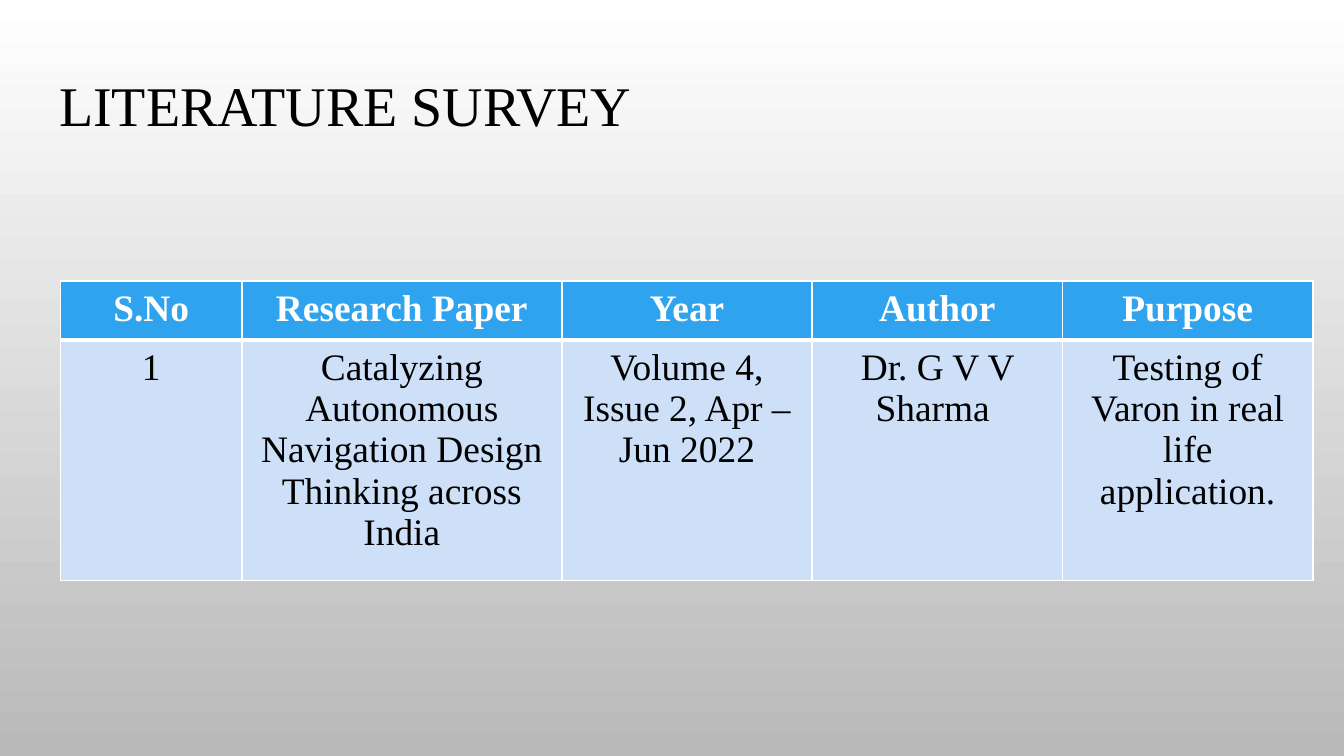
import pptx
import pptx.dml.color
import pptx.enum.text
import pptx.oxml
import pptx.oxml.ns
import pptx.util
from pptx.util import Inches

RGBColor = pptx.dml.color.RGBColor
BLACK = RGBColor(0x00, 0x00, 0x00)
WHITE = RGBColor(0xFF, 0xFF, 0xFF)
GREY = RGBColor(0xB9, 0xB9, 0xB9)
HEADER_BLUE = RGBColor(0x2F, 0xA3, 0xEE)
BODY_BLUE = RGBColor(0xCD, 0xE0, 0xF8)


def write_text(frame, text, size, color, align, bold=False, line_spacing=None):
    frame.word_wrap = True
    para = frame.paragraphs[0]
    para.alignment = align
    para.line_spacing = line_spacing
    span = para.add_run()
    span.text = text
    span.font.name = "Times New Roman"
    span.font.size = pptx.util.Pt(size)
    span.font.bold = bold
    span.font.color.rgb = color


def set_borders(cell, bottom):
    """Draw white 1 pt cell borders, with the bottom one in the given width."""
    properties = cell._tc.get_or_add_tcPr()
    for side, width in (("L", 1), ("R", 1), ("T", 1), ("B", bottom)):
        properties.append(pptx.oxml.parse_xml(
            f'<a:ln{side} {pptx.oxml.ns.nsdecls("a")} w="{pptx.util.Pt(width)}">'
            f'<a:solidFill><a:srgbClr val="{WHITE}"/></a:solidFill></a:ln{side}>'))


deck = pptx.Presentation()
deck.slide_width = Inches(10)
deck.slide_height = deck.slide_width * 9 // 16
page = deck.slides.add_slide(deck.slide_layouts[5])

backdrop = page.background.fill
backdrop.gradient()
backdrop.gradient_angle = 270
for stop, position, color in zip(backdrop.gradient_stops, (0, 1), (WHITE, GREY)):
    stop.position = position
    stop.color.rgb = color

title = page.shapes.title
title.left, title.top = Inches(0.34), Inches(0.49)
title.width, title.height = Inches(9.32), Inches(0.63)
frame = title.text_frame
frame.margin_left = frame.margin_right = Inches(0.1)
frame.margin_top = frame.margin_bottom = Inches(0.1)
frame.vertical_anchor = pptx.enum.text.MSO_ANCHOR.MIDDLE
write_text(frame, "LITERATURE SURVEY", 30, BLACK,
           pptx.enum.text.PP_ALIGN.LEFT, line_spacing=0.9)

survey = [
    ["S.No", "Research Paper", "Year", "Author", "Purpose"],
    ["1", "Catalyzing Autonomous Navigation Design Thinking across India",
     "Volume 4, Issue 2, Apr –Jun 2022", "Dr. G V V Sharma ",
     "Testing of Varon in real life application."],
]
table_width = 9.32
column_widths = [1.35, 2.38]
column_widths += [(table_width - sum(column_widths)) / 3] * 3
row_heights = [0.44, 1.79]
table = page.shapes.add_table(
    len(survey), len(column_widths), Inches(0.45), Inches(2.09),
    Inches(table_width), Inches(sum(row_heights))).table
for column, width in zip(table.columns, column_widths):
    column.width = Inches(width)

for row_index, (row, height) in enumerate(zip(survey, row_heights)):
    is_header = row_index == 0
    table.rows[row_index].height = Inches(height)
    for column_index, text in enumerate(row):
        cell = table.cell(row_index, column_index)
        set_borders(cell, bottom=3 if is_header else 1)
        cell.fill.solid()
        cell.fill.fore_color.rgb = HEADER_BLUE if is_header else BODY_BLUE
        write_text(cell.text_frame, text, 20, WHITE if is_header else BLACK,
                   pptx.enum.text.PP_ALIGN.CENTER, bold=is_header)

deck.save("out.pptx")
